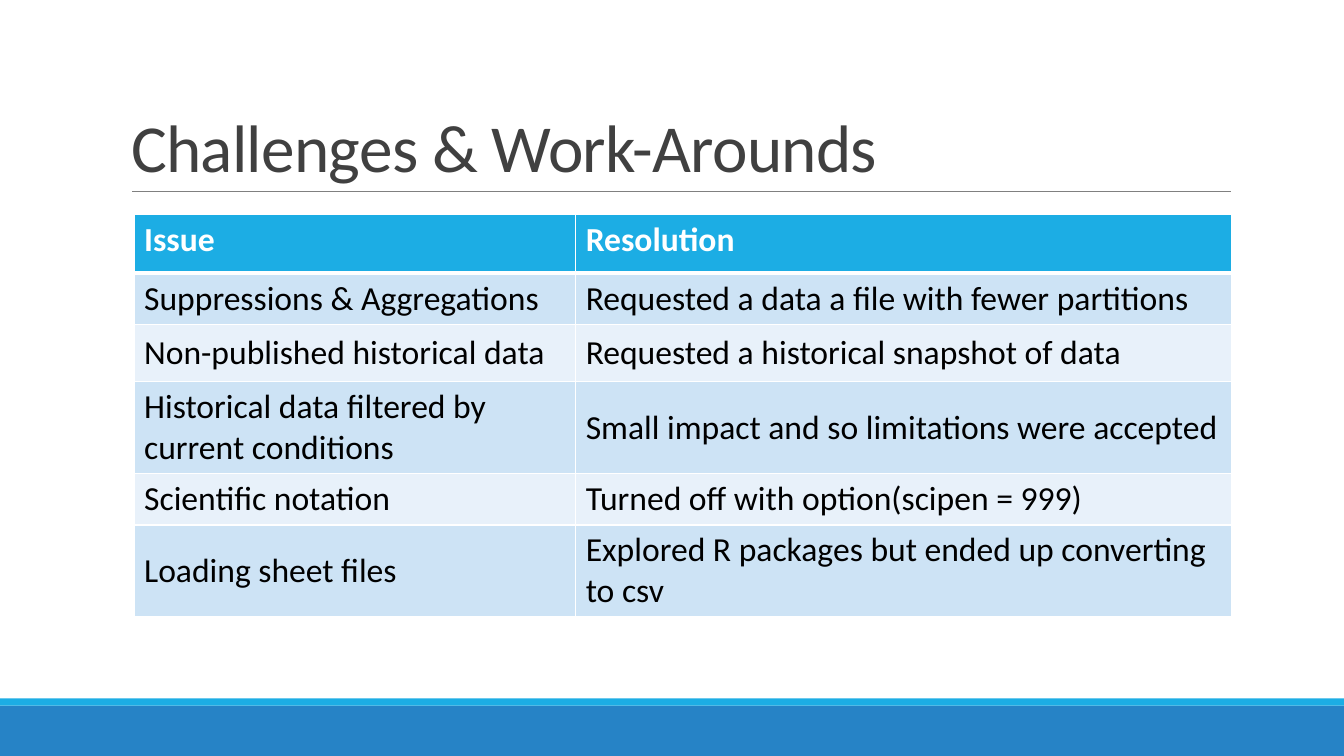
from lxml import etree
from pptx import Presentation
from pptx.dml.color import RGBColor
from pptx.enum.shapes import MSO_CONNECTOR, MSO_SHAPE
from pptx.enum.text import MSO_ANCHOR, MSO_AUTO_SIZE, PP_ALIGN
from pptx.oxml.ns import qn
from pptx.util import Inches, Pt

RECTANGLE = MSO_SHAPE.RECTANGLE
STRAIGHT = MSO_CONNECTOR.STRAIGHT
TOP, MIDDLE, BOTTOM = MSO_ANCHOR.TOP, MSO_ANCHOR.MIDDLE, MSO_ANCHOR.BOTTOM
NO_AUTOFIT = MSO_AUTO_SIZE.NONE
LEFT = PP_ALIGN.LEFT

COLORS = {
    "footer": "2683C6",
    "accent": "1CADE4",
    "rule": "808080",
    "title": "404040",
    "text": "000000",
    "white": "FFFFFF",
    "band_dark": "CDE3F5",
    "band_light": "E8F1FA",
}
ROWS = [
    ("Issue", "Resolution"),
    ("Suppressions & Aggregations", "Requested a data a file with fewer partitions"),
    ("Non-published historical data", "Requested a historical snapshot of data"),
    ("Historical data filtered by current conditions", "Small impact and so limitations were accepted"),
    ("Scientific notation", "Turned off with option(scipen = 999)"),
    ("Loading sheet files", "Explored R packages but ended up converting to csv"),
]
ROW_HEIGHTS = [0.58, 0.49, 0.57, 0.86, 0.49, 0.86]
COLUMN_WIDTHS = [4.38, 6.51]


def color(name):
    return RGBColor.from_string(COLORS[name])


def write(text_frame, text, size, color_name, bold=False):
    paragraph = text_frame.paragraphs[0]
    paragraph.alignment = LEFT
    run = paragraph.add_run()
    run.text = text
    run.font.color.rgb = color(color_name)
    for name, value in {"name": "Calibri", "size": Pt(size), "bold": bold}.items():
        setattr(run.font, name, value)
    return paragraph, run


presentation = Presentation()
presentation.slide_width = Inches(13.33)
presentation.slide_height = Inches(7.5)
slide = presentation.slides.add_slide(presentation.slide_layouts[5])

for top, height, fill in [(7, 0.5, "footer"), (6.93, 0.07, "accent")]:
    bar = slide.shapes.add_shape(RECTANGLE, 0, Inches(top), Inches(13.33), Inches(height))
    bar.shadow.inherit = False
    bar.fill.solid()
    bar.fill.fore_color.rgb = color(fill)
    bar.line.fill.background()

rule = slide.shapes.add_connector(STRAIGHT, Inches(1.31), Inches(1.9), Inches(12.21), Inches(1.9))
rule.line.color.rgb = color("rule")
rule.line.width = Pt(0.5)
etree.SubElement(rule.element.spPr, qn("a:effectLst"))

title = slide.shapes.title
title_box = {"left": 1.2, "top": 0.31, "width": 11, "height": 1.59}
for name, value in title_box.items():
    setattr(title, name, Inches(value))
title_format = {"vertical_anchor": BOTTOM, "auto_size": NO_AUTOFIT, "word_wrap": True}
for name, value in title_format.items():
    setattr(title.text_frame, name, value)
paragraph, run = write(title.text_frame, "Challenges & Work-Arounds", 48, "title")
paragraph.line_spacing = 0.85
run.font.element.set("spc", "-50") if hasattr(run.font, "element") else run._r.get_or_add_rPr().set("spc", "-50")

table = slide.shapes.add_table(
    len(ROWS), len(COLUMN_WIDTHS), Inches(1.33), Inches(2.13),
    Inches(sum(COLUMN_WIDTHS)), Inches(sum(ROW_HEIGHTS)),
).table
table.horz_banding = False
for column, width in zip(table.columns, COLUMN_WIDTHS):
    column.width = Inches(width)

for row_index, (texts, height) in enumerate(zip(ROWS, ROW_HEIGHTS)):
    table.rows[row_index].height = Inches(height)
    header = row_index == 0
    band = "accent" if header else "band_dark" if row_index % 2 else "band_light"
    for column_index, text in enumerate(texts):
        cell = table.cell(row_index, column_index)
        cell.vertical_anchor = TOP if header else MIDDLE
        write(cell.text_frame, text, 24, "white" if header else "text", header)
        properties = cell._tc.get_or_add_tcPr()
        for side in ("L", "R", "T", "B"):
            thick = (header and side == "B") or (row_index == 1 and side == "T")
            border = etree.SubElement(properties, qn(f"a:ln{side}"), w=str(Pt(3 if thick else 1)))
            border_fill = etree.SubElement(border, qn("a:solidFill"))
            etree.SubElement(border_fill, qn("a:srgbClr"), val=COLORS["white"])
        cell.fill.solid()
        cell.fill.fore_color.rgb = color(band)

presentation.save("out.pptx")
